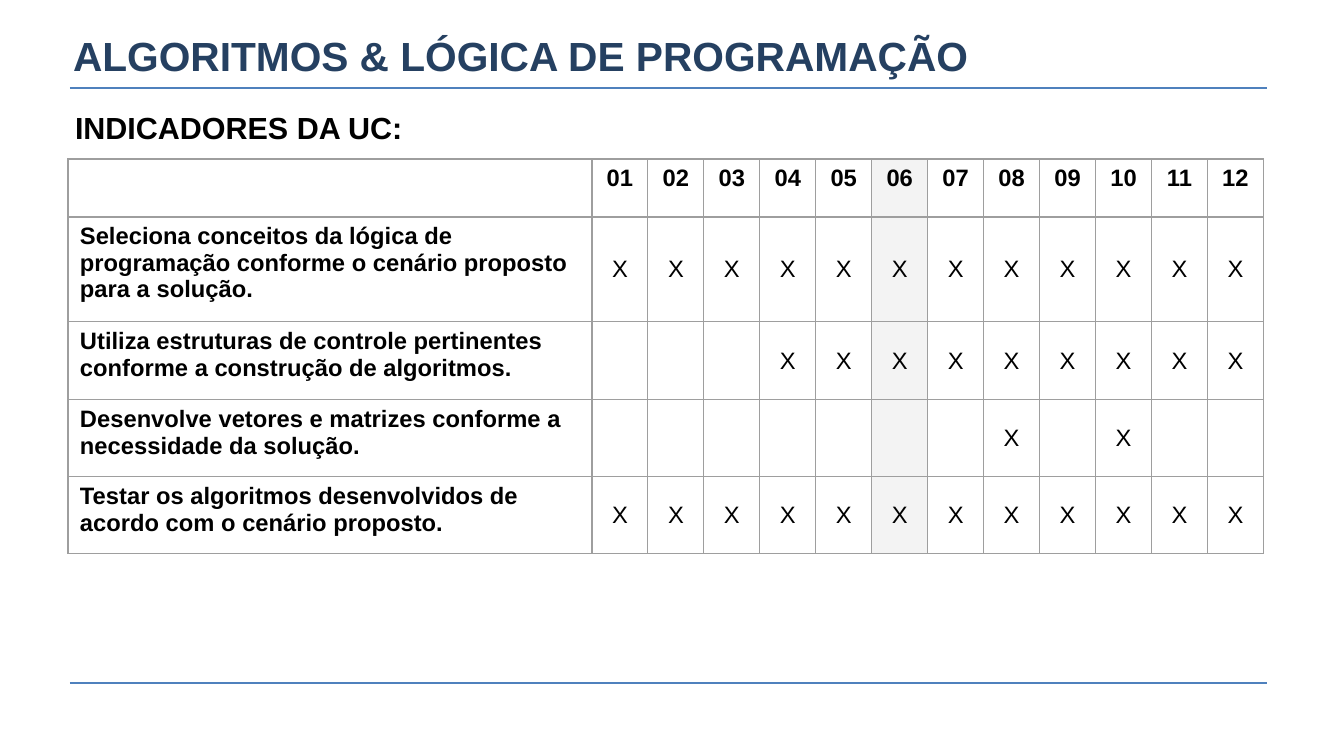
"""Builds the slide of course indicators by lesson."""
from lxml import etree
from pptx import Presentation
from pptx import util as u
from pptx.dml.color import RGBColor
from pptx.enum import shapes, text
from pptx.oxml.ns import qn

TITLE = "ALGORITMOS & LÓGICA DE PROGRAMAÇÃO"
HEADING = "INDICADORES DA UC:"
LESSONS = range(1, 13)
INDICATORS = [
    ("Seleciona conceitos da lógica de programação conforme o cenário proposto para a solução.", LESSONS),
    ("Utiliza estruturas de controle pertinentes conforme a construção de algoritmos.", range(4, 13)),
    ("Desenvolve vetores e matrizes conforme a necessidade da solução.", (8, 10)),
    ("Testar os algoritmos desenvolvidos de acordo com o cenário proposto.", LESSONS),
]
SHADED_LESSON = 6
FONT = "Arial"
NAVY, BLUE, BLACK, GREY, SHADE = "254061", "4F81BD", "000000", "9E9E9E", "F3F3F3"
SLIDE_SIZE = 1344, 756
RULE_LEFT, RULE_RIGHT, RULE_TOPS = 70, 1267, (88, 683)
TITLE_BOX = 73, 27, 1198, 57
HEADING_BOX = 63, 92, 1209, 588
TABLE_LEFT, TABLE_TOP = 68, 159
COLUMN_WIDTHS = [524] + [56] * len(LESSONS)
ROW_HEIGHTS = [58, 105, 78, 77, 77]


def px(length):
    return round(length * u.Inches(1) / 122)


def color(value):
    return RGBColor.from_string(value)


def write(frame, words, size, ink, bold, align=text.PP_ALIGN.LEFT):
    line = frame.paragraphs[0]
    line.alignment = align
    run = line.add_run()
    run.text = words
    run.font.name, run.font.size, run.font.bold = FONT, u.Pt(size), bold
    run.font.color.rgb = color(ink)
    return line


def set_insets(frame, inset):
    frame.margin_left = frame.margin_right = px(inset)
    frame.margin_top = frame.margin_bottom = px(inset)
    frame.word_wrap = True
    frame.auto_size = text.MSO_AUTO_SIZE.NONE


def add_rule(slide, top):
    rule = slide.shapes.add_connector(
        shapes.MSO_CONNECTOR.STRAIGHT, px(RULE_LEFT), px(top), px(RULE_RIGHT), px(top))
    rule.line.color.rgb = color(BLUE)
    rule.line.width = u.Pt(1)
    etree.SubElement(rule._element.spPr, qn("a:effectLst"))


def add_borders(cell):
    properties = cell._tc.get_or_add_tcPr()
    for side in ("lnL", "lnR", "lnT", "lnB"):
        border = etree.SubElement(properties, qn("a:" + side), w=str(u.Pt(0.75)))
        fill = etree.SubElement(border, qn("a:solidFill"))
        etree.SubElement(fill, qn("a:srgbClr"), val=GREY)


def fill_cell(cell, words, lesson, is_header):
    add_borders(cell)
    if lesson == SHADED_LESSON:
        cell.fill.solid()
        cell.fill.fore_color.rgb = color(SHADE)
    else:
        cell.fill.background()
    cell.margin_left = cell.margin_right = px(12)
    cell.margin_top = cell.margin_bottom = px(6)
    is_mark = lesson > 0 and not is_header
    if is_mark:
        cell.vertical_anchor = text.MSO_ANCHOR.MIDDLE
    if words:
        align = text.PP_ALIGN.CENTER if lesson else text.PP_ALIGN.LEFT
        write(cell.text_frame, words, 14, BLACK, not is_mark, align)


def add_indicators(slide):
    rows = [[""] + [f"{lesson:02}" for lesson in LESSONS]]
    rows += [[name] + ["X" if lesson in marked else "" for lesson in LESSONS]
             for name, marked in INDICATORS]
    indicators = slide.shapes.add_table(
        len(rows), len(COLUMN_WIDTHS), px(TABLE_LEFT), px(TABLE_TOP),
        px(sum(COLUMN_WIDTHS)), px(sum(ROW_HEIGHTS))).table
    indicators.first_row = indicators.horz_banding = False
    for column, width in zip(indicators.columns, COLUMN_WIDTHS):
        column.width = px(width)
    for r, (row, height) in enumerate(zip(rows, ROW_HEIGHTS)):
        indicators.rows[r].height = px(height)
        for lesson, words in enumerate(row):
            fill_cell(indicators.cell(r, lesson), words, lesson, r == 0)


def main():
    deck = Presentation()
    deck.slide_width, deck.slide_height = map(px, SLIDE_SIZE)
    slide = deck.slides.add_slide(deck.slide_layouts[5])
    for top in RULE_TOPS:
        add_rule(slide, top)

    title = slide.shapes.title
    title.left, title.top, title.width, title.height = map(px, TITLE_BOX)
    set_insets(title.text_frame, 0)
    title.text_frame.vertical_anchor = text.MSO_ANCHOR.MIDDLE
    write(title.text_frame, TITLE, 24, NAVY, True)

    heading = slide.shapes.add_textbox(*map(px, HEADING_BOX)).text_frame
    set_insets(heading, 12)
    line = write(heading, HEADING, 18, BLACK, True)
    line.line_spacing, line.space_after = 1.15, u.Pt(10)

    add_indicators(slide)
    deck.save("out.pptx")


if __name__ == "__main__":
    main()
